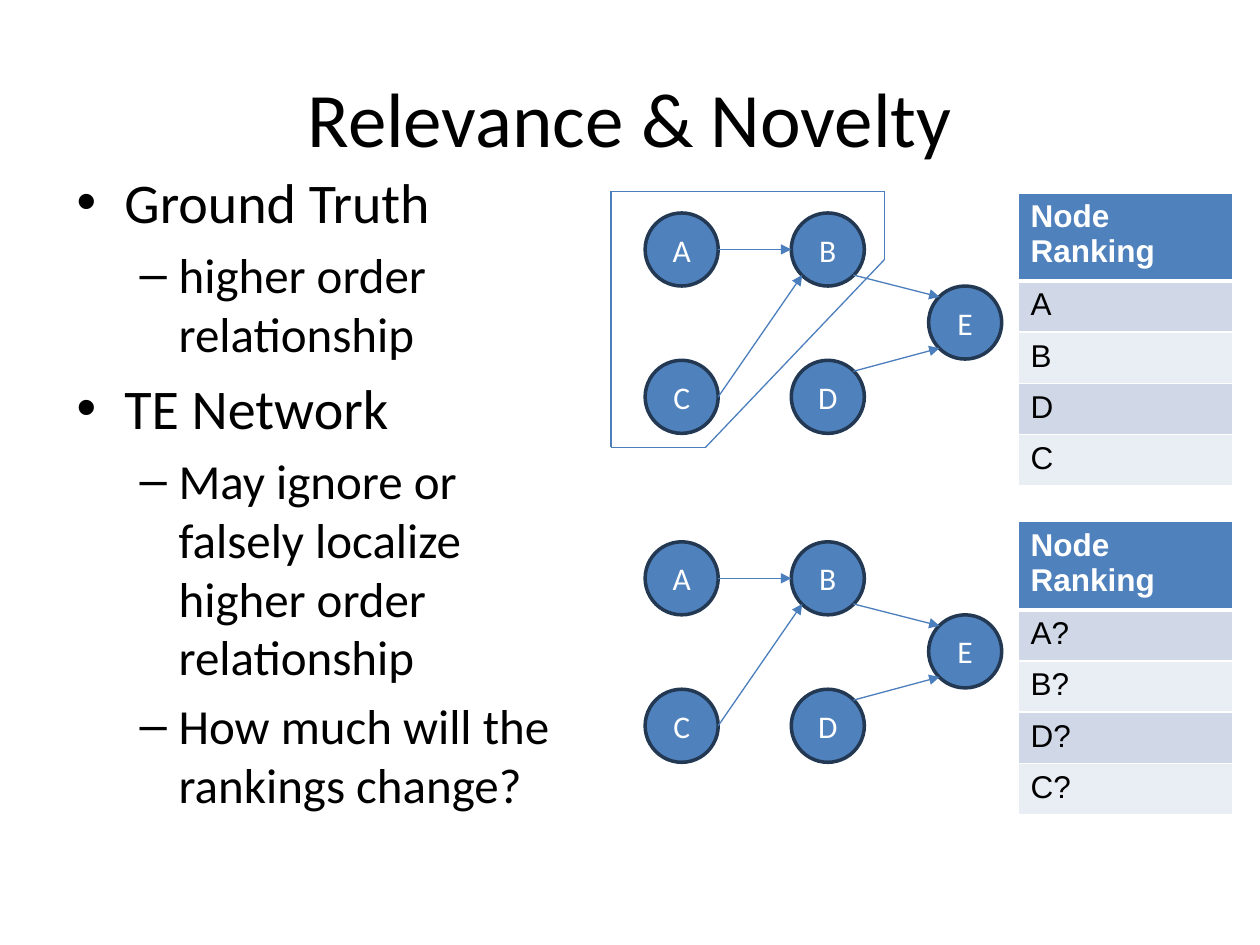
from pptx import Presentation, util as u
from pptx.dml.color import RGBColor
from pptx.enum import shapes, text
from pptx.oxml.ns import qn
from lxml import etree

COLORS = {"blue": "4F81BD", "outline": "233953", "arrow": "4B7EBC", "black": "000000",
          "white": "FFFFFF", "band1": "D0D8E8", "band2": "E9EDF4"}


def add_run(p, content, size, color, font="Calibri", bold=False):
    r = p.add_run()
    r.text = content
    r.font.size = u.Pt(size)
    r.font.name = font
    r.font.bold = bold
    r.font.color.rgb = RGBColor.from_string(COLORS[color])


def add_line(start, end, arrow=False):
    cx = s.shapes.add_connector(shapes.MSO_CONNECTOR.STRAIGHT,
                                *[u.Inches(v) for v in (*start, *end)])
    cx.line.width = u.Pt(0.75)
    cx.line.color.rgb = RGBColor.from_string(COLORS["arrow"])
    if arrow:
        etree.SubElement(cx.line._get_or_add_ln(), qn("a:tailEnd"), type="triangle")
    etree.SubElement(cx._element.spPr, qn("a:effectLst"))


prs = Presentation()
prs.slide_width, prs.slide_height = u.Inches(10), u.Inches(7.5)
s = prs.slides.add_slide(prs.slide_layouts[5])

title = s.shapes.title
title.left, title.top, title.width, title.height = [u.Inches(v) for v in (0.5, 0.3, 9, 1.25)]
title.text_frame.vertical_anchor = text.MSO_ANCHOR.MIDDLE
p = title.text_frame.paragraphs[0]
p.alignment = text.PP_ALIGN.CENTER
add_run(p, "Relevance & Novelty", 44, "black")

BULLETS = [(0, "Ground Truth"), (1, "higher order relationship"), (0, "TE Network"),
           (1, "May ignore or falsely localize higher order relationship"),
           (1, "How much will the rankings change?")]
LEVELS = [(32, 0.38, -0.38, "\u2022"), (28, 0.81, -0.31, "\u2013")]
body = s.shapes.add_textbox(*[u.Inches(v) for v in (0.51, 1.28, 4.26, 4.95)])
tf = body.text_frame
tf.word_wrap = True
for i, (level, content) in enumerate(BULLETS):
    size, margin, indent, char = LEVELS[level]
    p = tf.paragraphs[0] if i == 0 else tf.add_paragraph()
    p.level = level
    p.space_before = u.Pt(size * 0.2)
    pPr = p._p.get_or_add_pPr()
    pPr.set("marL", str(u.Inches(margin)))
    pPr.set("indent", str(u.Inches(indent)))
    etree.SubElement(pPr, qn("a:buFont"), typeface="Arial")
    etree.SubElement(pPr, qn("a:buChar"), char=char)
    add_run(p, content, size, "black")

SIZE = 0.58
NODES = {"A": (5.12, 0), "B": (6.28, 0), "C": (5.12, 1.17), "D": (6.28, 1.17), "E": (7.37, 0.58)}
LOW, HIGH = 0.15, 0.85
EDGES = [("D", (HIGH, LOW), "E", (LOW, HIGH)), ("B", (HIGH, HIGH), "E", (LOW, LOW)),
         ("C", (1, 0.5), "B", (LOW, HIGH)), ("A", (1, 0.5), "B", (0, 0.5))]
for top, suffix in ((1.69, ""), (4.3, "?")):
    for name, (x, y) in NODES.items():
        sp = s.shapes.add_shape(shapes.MSO_SHAPE.OVAL,
                                *[u.Inches(v) for v in (x, top + y, SIZE, SIZE)])
        sp.shadow.inherit = False
        sp.fill.solid()
        sp.fill.fore_color.rgb = RGBColor.from_string(COLORS["blue"])
        sp.line.color.rgb = RGBColor.from_string(COLORS["outline"])
        sp.line.width = u.Pt(2)
        sp.text_frame.vertical_anchor = text.MSO_ANCHOR.MIDDLE
        p = sp.text_frame.paragraphs[0]
        p.alignment = text.PP_ALIGN.CENTER
        add_run(p, name, 18, "white")
    for *edge, in EDGES:
        start, end = [(NODES[n][0] + SIZE * fx, top + NODES[n][1] + SIZE * fy)
                      for n, (fx, fy) in (edge[:2], edge[2:])]
        add_line(start, end, arrow=True)

    rows = ["Node Ranking"] + [name + suffix for name in "ABDC"]
    table = s.shapes.add_table(len(rows), 1, *[u.Inches(v) for v in (8.08, top - 0.16, 1.7, 2.03)]).table
    for i, content in enumerate(rows):
        header = i == 0
        cell = table.cell(i, 0)
        tcPr = cell._tc.get_or_add_tcPr()
        for side in "LRTB":
            thick = (header and side == "B") or (i == 1 and side == "T")
            ln = etree.SubElement(tcPr, qn(f"a:ln{side}"), w=str(u.Pt(3 if thick else 1)))
            fill = etree.SubElement(ln, qn("a:solidFill"))
            etree.SubElement(fill, qn("a:srgbClr"), val=COLORS["white"])
        cell.fill.solid()
        color = "blue" if header else "band1" if i % 2 else "band2"
        cell.fill.fore_color.rgb = RGBColor.from_string(COLORS[color])
        add_run(cell.text_frame.paragraphs[0], content, 18,
                "white" if header else "black", "Arial", header)

BOUNDARY = [(4.85, 1.52), (4.85, 3.55), (5.6, 3.55), (7.02, 2.06), (7.02, 1.52)]
for start, end in zip(BOUNDARY, BOUNDARY[1:] + BOUNDARY[:1]):
    add_line(start, end)

prs.save("out.pptx")
